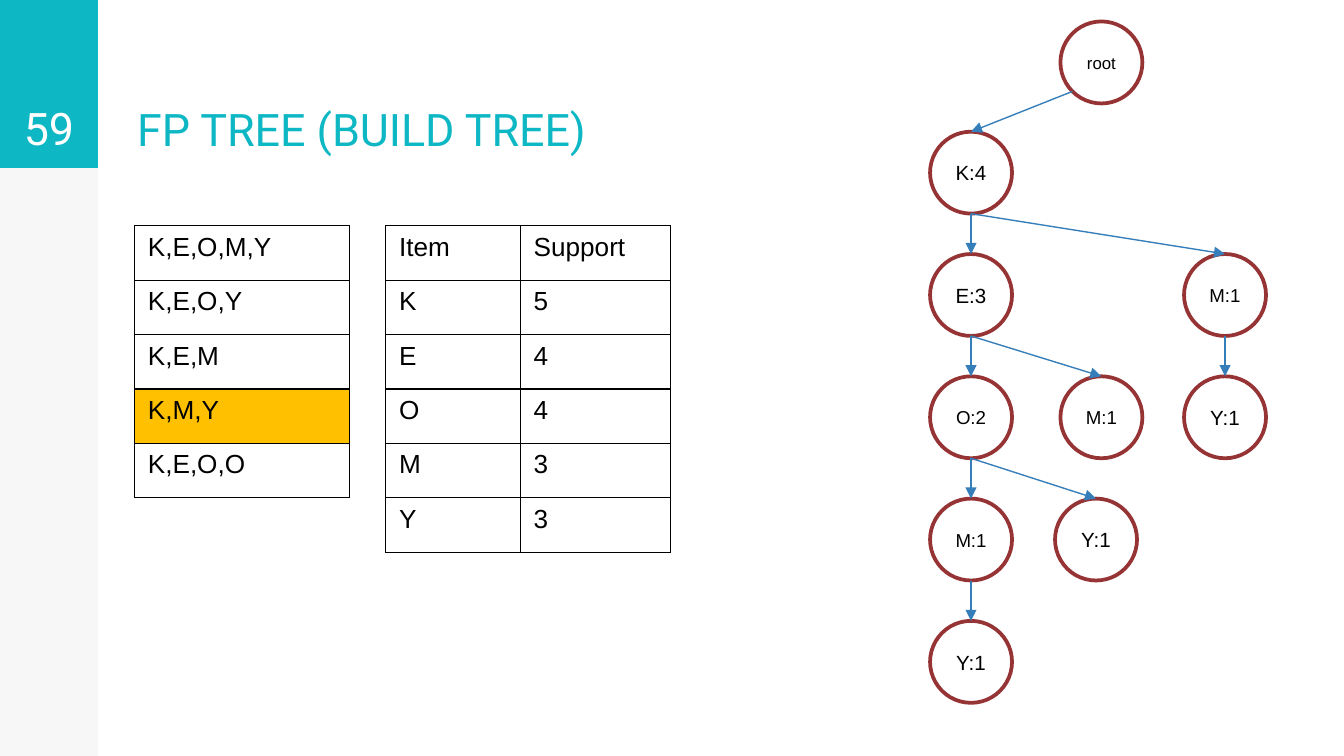
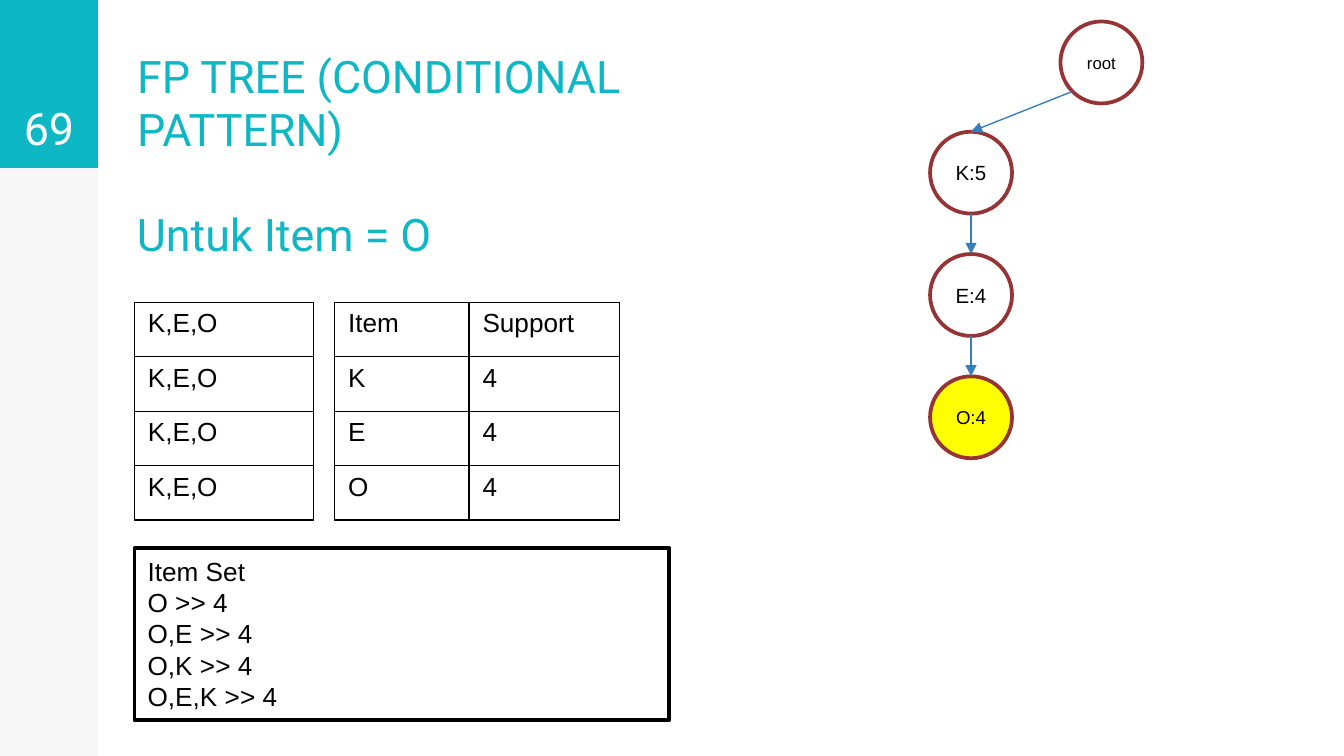
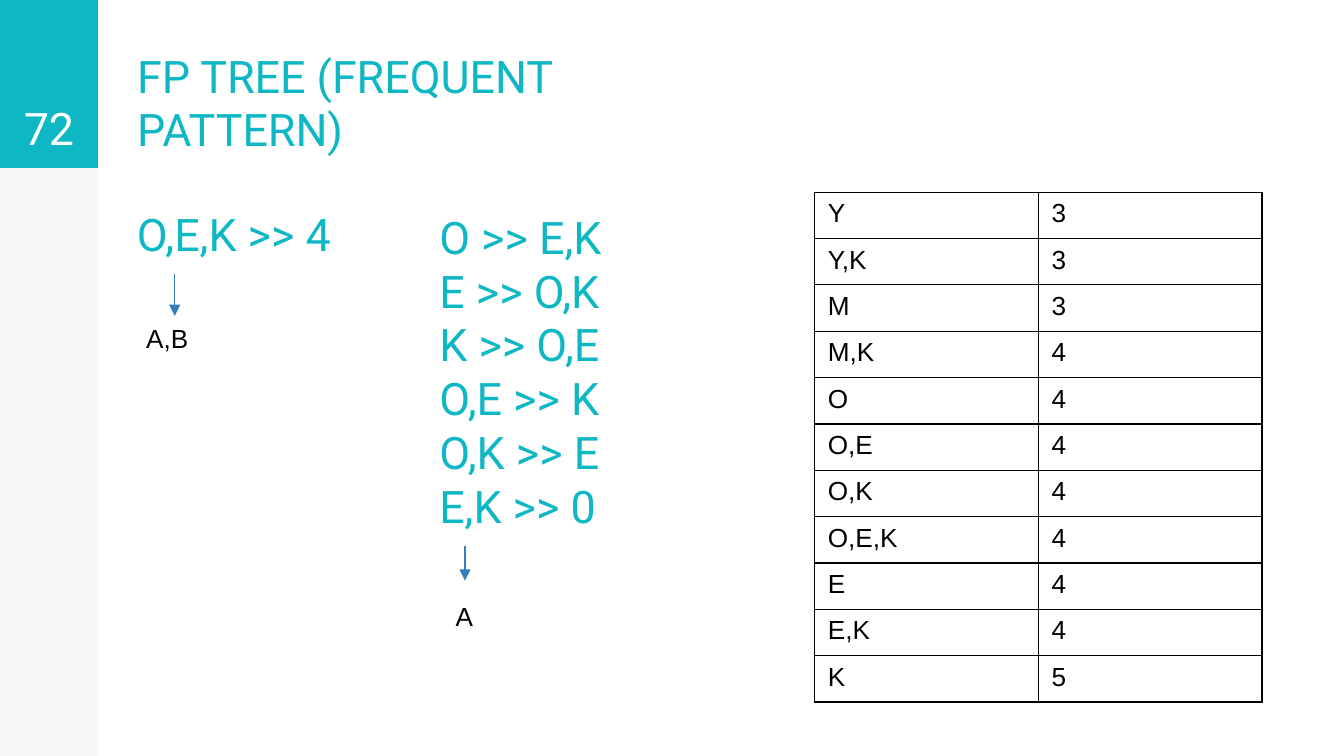
from dataclasses import dataclass

from lxml import etree
from pptx import Presentation
from pptx import util as u
from pptx.dml.color import RGBColor
from pptx.enum import shapes as es, text as et
from pptx.oxml import ns

# Scale: 200 px to the inch
PX = 4572
WIDE, HIGH = 2000, 1125

# Colours
TEAL = RGBColor(0x0D, 0xB7, 0xC4)
WHITE = RGBColor(0xFF, 0xFF, 0xFF)
BLACK = RGBColor(0, 0, 0)
RED = RGBColor(0x96, 0x33, 0x34)
BLUE = RGBColor(0x36, 0x7E, 0xB9)
GOLD = RGBColor(0xFF, 0xC0, 0x00)
YELLOW = RGBColor(0xFF, 0xFF, 0x00)

# Shared places
BAND = 146
HEAD = 250
LEFT = 184
TEXT_W = 778
INSET = 20
NODE = 122
COLS = (1384, 1578, 1762)
TOP, STEP = 196, 182


@dataclass
class Node:
    """A circle of the tree; up is the index of its parent."""
    text: str
    x: int
    y: int
    size: int
    up: int | None = None
    fill: RGBColor = WHITE


@dataclass
class Grid:
    """A table; the row numbered mark is filled gold."""
    x: int
    y: int
    cols: tuple[int, ...]
    row: int
    data: list[tuple[str, ...]]
    mark: int | None = None


def px(*vals: int) -> list[u.Emu]:
    return [u.Emu(round(val * PX)) for val in vals]


def add(parent, tag: str, **attrs: str):
    return etree.SubElement(parent, ns.qn(tag), attrs)


def put(frame, text: str, *, size: int = 14, font: str = "Arial",
        color: RGBColor = BLACK, align=et.PP_ALIGN.LEFT,
        anchor=et.MSO_ANCHOR.TOP, pad: int = 10, wrap: bool = True) -> None:
    """Write text, one paragraph a line, in one format."""
    frame.auto_size = et.MSO_AUTO_SIZE.NONE
    frame.word_wrap = wrap
    frame.vertical_anchor = anchor
    frame.margin_top, frame.margin_bottom = px(pad, pad)
    frame.margin_left, frame.margin_right = px(INSET, INSET)
    frame.text = text
    for para in frame.paragraphs:
        para.alignment = align
        style(para, size, font, color)


def style(para, size: int, font: str, color: RGBColor) -> None:
    for run in para.runs:
        run.font.size = u.Pt(size)
        run.font.name = font
        run.font.color.rgb = color


def big(frame, text: str, **form) -> None:
    look = dict(size=24, font="Roboto", color=TEAL, pad=INSET,
                anchor=et.MSO_ANCHOR.BOTTOM)
    put(frame, text, **(look | form))


def box(shapes, x: int, y: int, w: int, h: int):
    return shapes.add_textbox(*px(x, y, w, h)).text_frame


def form(shapes, kind, x: int, y: int, w: int, h: int,
         fill: RGBColor, line: RGBColor | None = None):
    item = shapes.add_shape(kind, *px(x, y, w, h))
    item.shadow.inherit = False
    item.fill.solid()
    item.fill.fore_color.rgb = fill
    if line is None:
        item.line.fill.background()
    else:
        item.line.color.rgb = line
        item.line.width = u.Pt(2)
    return item


def arrow(shapes, x1: int, y1: int, x2: int, y2: int):
    link = shapes.add_connector(es.MSO_CONNECTOR.STRAIGHT, *px(x1, y1, x2, y2))
    link.line.color.rgb = BLUE
    link.line.width = u.Pt(0.75)
    add(link.line._get_or_add_ln(), "a:tailEnd", type="triangle")
    add(link._element.spPr, "a:effectLst")
    return link


def tree(shapes, nodes: list[Node]) -> None:
    """Draw the circles, then an arrow from each parent to its child."""
    disks = []
    for node in nodes:
        disk = form(shapes, es.MSO_SHAPE.OVAL, node.x, node.y, NODE, NODE,
                    node.fill, RED)
        put(disk.text_frame, node.text, size=node.size, wrap=False,
            align=et.PP_ALIGN.CENTER, anchor=et.MSO_ANCHOR.MIDDLE)
        disks.append(disk)
    half = NODE // 2
    slant = round(half * 0.71)
    for node, disk in zip(nodes, disks):
        if node.up is None:
            continue
        over = nodes[node.up]
        x, y = over.x + half, over.y + NODE
        if over.up is None:  # the root is left at its lower left
            x, y = x - slant, over.y + half + slant
        link = arrow(shapes, x, y, node.x + half, node.y)
        link.end_connect(disk, 0)


def level(num: int) -> int:
    return TOP + num * STEP


def stem(k: str, e: str, o: str, fill: RGBColor = WHITE) -> list[Node]:
    """The root and the left branch K, E, O."""
    return [Node("root", COLS[1], 32, 9),
            Node(k, COLS[0], level(0), 11, 0),
            Node(e, COLS[0], level(1), 11, 1),
            Node(o, COLS[0], level(2), 10, 2, fill)]


def border(cell) -> None:
    props = cell._tc.get_or_add_tcPr()
    for spot, side in enumerate("LRTB"):
        line = etree.Element(ns.qn(f"a:ln{side}"), w=str(u.Pt(0.75)))
        add(add(line, "a:solidFill"), "a:srgbClr", val=str(BLACK))
        props.insert(spot, line)


def table(shapes, grid: Grid) -> None:
    rows = len(grid.data)
    tab = shapes.add_table(rows, len(grid.cols), *px(
        grid.x, grid.y, sum(grid.cols), rows * grid.row)).table
    tab.first_row = tab.horz_banding = False
    for col, wide in zip(tab.columns, grid.cols):
        col.width = px(wide)[0]
    for num, data in enumerate(grid.data):
        tab.rows[num].height = px(grid.row)[0]
        for cell, text in zip(tab.rows[num].cells, data):
            cell.text = text
            style(cell.text_frame.paragraphs[0], 14, "Arial", BLACK)
            if num == grid.mark:
                cell.fill.solid()
                cell.fill.fore_color.rgb = GOLD
            else:
                cell.fill.background()
            border(cell)


def page(deck, num: str, title: str):
    """Start a slide with side bands, number and title."""
    slide = deck.slides.add_slide(deck.slide_layouts[5])
    shapes = slide.shapes
    rect = es.MSO_SHAPE.RECTANGLE
    side = form(shapes, rect, 0, 0, BAND, HIGH, BLACK)
    tint = side._element.spPr.find(".//" + ns.qn("a:srgbClr"))
    add(tint, "a:alpha", val="3000")
    form(shapes, rect, 0, 0, BAND, HEAD, TEAL)
    big(box(shapes, 0, 0, BAND, HEAD), num, color=WHITE,
        align=et.PP_ALIGN.CENTER)
    head = shapes.title
    head.left, head.top, head.width, head.height = px(LEFT, 2, TEXT_W, HEAD)
    big(head.text_frame, title)
    return shapes


def build(deck) -> None:
    """Slide with the tree under construction."""
    shapes = page(deck, "59", "FP TREE (BUILD TREE)")
    support = [("Item", "Support"), *zip("KEOMY", "54433")]
    table(shapes, Grid(574, 336, (200, 224), 81, support))
    sets = ["K,E,O,M,Y", "K,E,O,Y", "K,E,M", "K,M,Y", "K,E,O,O"]
    table(shapes, Grid(200, 336, (320,), 81, [(s,) for s in sets], 3))
    tree(shapes, stem("K:4", "E:3", "O:2") + [
        Node("M:1", COLS[0], level(3), 10, 3),
        Node("Y:1", COLS[0], level(4), 11, 4),
        Node("Y:1", COLS[1] - 8, level(3), 11, 3),
        Node("M:1", COLS[1], level(2), 10, 2),
        Node("M:1", COLS[2], level(1), 10, 1),
        Node("Y:1", COLS[2], level(2), 11, 8)])


def narrow(deck) -> None:
    """Slide with the pattern for item O."""
    shapes = page(deck, "69", "FP TREE (CONDITIONAL PATTERN)")
    big(box(shapes, LEFT, 292, TEXT_W, 116), "Untuk Item = O")
    tree(shapes.add_group_shape().shapes, stem("K:5", "E:4", "O:4", YELLOW))
    table(shapes, Grid(200, 450, (266,), 81, [("K,E,O",)] * 4))
    support = [("Item", "Support"), *zip("KEO", "444")]
    table(shapes, Grid(498, 450, (200, 224), 81, support))
    frame = form(shapes, es.MSO_SHAPE.RECTANGLE, 200, 816, 796, 256,
                 WHITE, BLACK).text_frame
    put(frame, "Item Set\nO >> 4\nO,E >> 4\nO,K >> 4\nO,E,K >> 4")


def rules(deck) -> None:
    """Slide with the rules and the frequent patterns."""
    shapes = page(deck, "72", "FP TREE (FREQUENT PATTERN)")
    big(box(shapes, LEFT, 292, TEXT_W, 116), "O,E,K >> 4")
    big(box(shapes, 634, 292, TEXT_W, 550),
        "O >> E,K\nE >> O,K\nK >> O,E\nO,E >> K\nO,K >> E\nE,K >> 0",
        anchor=et.MSO_ANCHOR.TOP)
    sets = ["Y", "Y,K", "M", "M,K", "O", "O,E", "O,K", "O,E,K",
            "E", "E,K", "K"]
    table(shapes, Grid(1212, 286, (333, 333), 69,
                       list(zip(sets, "33344444445"))))
    # Labels under the arrows
    for text, x, y, start, end in (("A,B", 146, 470, 408, 470),
                                   ("A", 588, 884, 812, 864)):
        put(box(shapes, x, y, 206, 68), text, align=et.PP_ALIGN.CENTER)
        mid = x + 103
        arrow(shapes, mid + (11 if text == "A,B" else 1), start,
              mid + (11 if text == "A,B" else 1), end)


def main() -> None:
    deck = Presentation()
    deck.slide_width, deck.slide_height = px(WIDE, HIGH)
    for draw in (build, narrow, rules):
        draw(deck)
    deck.save("out.pptx")


if __name__ == "__main__":
    main()
